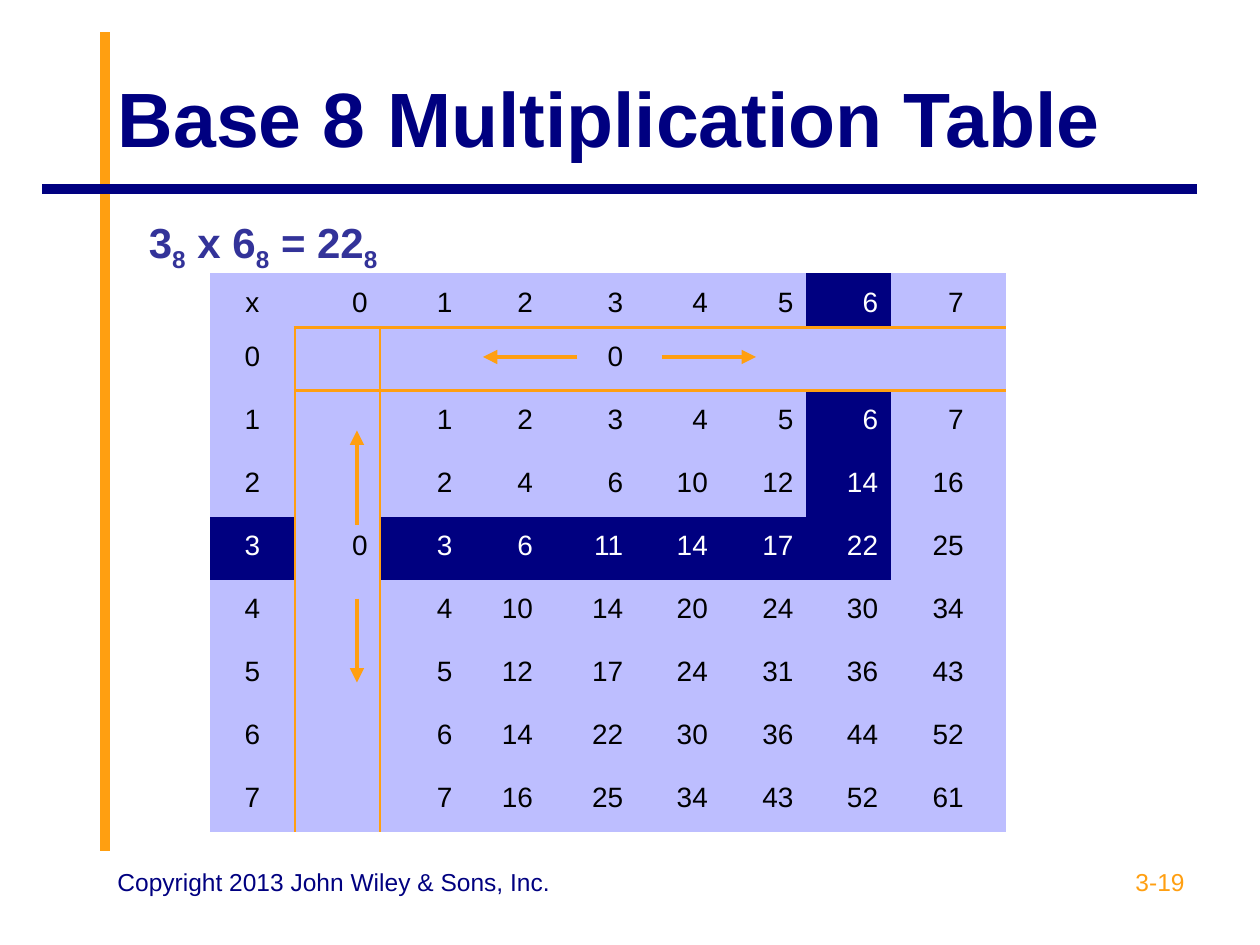
from lxml import etree
from pptx import Presentation
from pptx.dml.color import RGBColor
from pptx.enum import shapes, text
from pptx.oxml import ns
from pptx.util import Pt

NAVY = RGBColor(0x00, 0x00, 0x80)
INDIGO = RGBColor(0x33, 0x33, 0x99)
ORANGE = RGBColor(0xFF, 0x9F, 0x11)
LAVENDER = RGBColor(0xBD, 0xBE, 0xFF)
WHITE = RGBColor(0xFF, 0xFF, 0xFF)
BLACK = RGBColor(0x00, 0x00, 0x00)
NO_STYLE = "{2D5ABB26-0587-4C30-8999-92F81FD0307C}"
LEFT, CENTER, RIGHT = text.PP_ALIGN.LEFT, text.PP_ALIGN.CENTER, text.PP_ALIGN.RIGHT

presentation = Presentation()
presentation.slide_width, presentation.slide_height = Pt(720), Pt(540)
slide = presentation.slides.add_slide(presentation.slide_layouts[5])


def add_line(start, end, color, width, arrow=False):
    line = slide.shapes.add_connector(
        shapes.MSO_CONNECTOR.STRAIGHT, *map(Pt, start + end))
    line.line.color.rgb = color
    line.line.width = Pt(width)
    if arrow:
        etree.SubElement(line.line._get_or_add_ln(), ns.qn("a:tailEnd"), type="triangle")
    etree.SubElement(line._element.spPr, ns.qn("a:effectLst"))


def write(paragraph, content, color, size, alignment=LEFT, bold=False):
    """Fill a paragraph from (string, is_subscript) pairs."""
    paragraph.alignment = alignment
    for string, subscript in content:
        run = paragraph.add_run()
        run.text = string
        if subscript:
            run._r.get_or_add_rPr().set("baseline", "-25000")
        for name, value in {"name": "Arial", "size": Pt(size), "bold": bold}.items():
            setattr(run.font, name, value)
        run.font.color.rgb = color


# Frame lines and title
add_line((60, 486), (60, 18), ORANGE, 5.5)
add_line((684, 108), (24, 108), NAVY, 5.5)
title = slide.shapes.title
title.left, title.top, title.width, title.height = Pt(60), Pt(21.6), Pt(624), Pt(90)
title.text_frame.vertical_anchor = text.MSO_ANCHOR.MIDDLE
write(title.text_frame.paragraphs[0], [("Base 8 Multiplication Table", False)],
      NAVY, 44, bold=True)

# Multiplication table: labels in the first row and column, a narrow spacer last
column_widths = [48.4, 48.9, 48.4, 46, 51.6, 48.4, 48.9, 48.4, 48.9, 17.1]
row_heights = [31.2] + [36] * 8
frame = slide.shapes.add_table(len(row_heights), len(column_widths), Pt(120), Pt(156),
                               Pt(sum(column_widths)), Pt(sum(row_heights)))
table = frame.table
table._tbl.tblPr.find(ns.qn("a:tableStyleId")).text = NO_STYLE
for column, width in zip(table.columns, column_widths):
    column.width = Pt(width)
for row, height in zip(table.rows, row_heights):
    row.height = Pt(height)

FACTOR_ROW, FACTOR_COLUMN = 3, 6
for i in range(len(row_heights)):
    for j in range(len(column_widths)):
        x, y = i - 1, j - 1  # the two factors; -1 marks a label
        if j == len(column_widths) - 1:
            label = ""
        elif x < 0 or y < 0:
            label = "x" if x == y else str(max(x, y))
        elif x * y == 0 and (x, y) not in ((0, 3), (3, 0)):
            label = ""
        else:
            label = f"{x * y:o}"
        highlighted = (
            (y == FACTOR_COLUMN and x <= FACTOR_ROW and x != 0)
            or (x == FACTOR_ROW and y <= FACTOR_COLUMN and y != 0))

        cell = table.cell(i, j)
        cell.fill.solid()
        cell.fill.fore_color.rgb = NAVY if highlighted else LAVENDER
        paragraph = cell.text_frame.paragraphs[0]
        if label:
            paragraph.line_spacing = 1.25
            write(paragraph, [(label, False)], WHITE if highlighted else BLACK, 16,
                  CENTER if j == 0 else RIGHT)

        edges = {"a:lnL": i > 0 and j == 1, "a:lnR": i > 0 and j == 0,
                 "a:lnT": i == 1 and j > 0, "a:lnB": i == 0 and j > 0}
        drawn = [edge for edge, present in edges.items() if present]
        for position, edge in enumerate(drawn):
            border = etree.Element(ns.qn(edge), w=str(Pt(1.5)))
            fill = etree.SubElement(border, ns.qn("a:solidFill"))
            etree.SubElement(fill, ns.qn("a:srgbClr"), val=str(ORANGE))
            cell._tc.get_or_add_tcPr().insert(position, border)

# Arrows spreading from the zeros
for start, end in [((330, 204), (276, 204)), ((378, 204), (432, 204)),
                   ((204, 300), (204, 246)), ((204, 342), (204, 390))]:
    add_line(start, end, ORANGE, 2.75, arrow=True)

# Worked product, page number and copyright
equation = [("3", False), ("8", True), (" x 6", False), ("8", True),
            (" = 22", False), ("8", True)]
copyright_line = [("Copyright 2013 John Wiley & Sons, Inc.", False)]
for box, content, color, size, alignment, bold in [
    ((78, 120, 186, 40), equation, INDIGO, 24, LEFT, True),
    ((516, 492, 168, 37.5), [("3-19", False)], ORANGE, 14, RIGHT, False),
    ((60, 492, 264, 37.5), copyright_line, NAVY, 14, LEFT, False),
]:
    text_frame = slide.shapes.add_textbox(*map(Pt, box)).text_frame
    text_frame.word_wrap = True
    write(text_frame.paragraphs[0], content, color, size, alignment, bold)

presentation.save("out.pptx")
